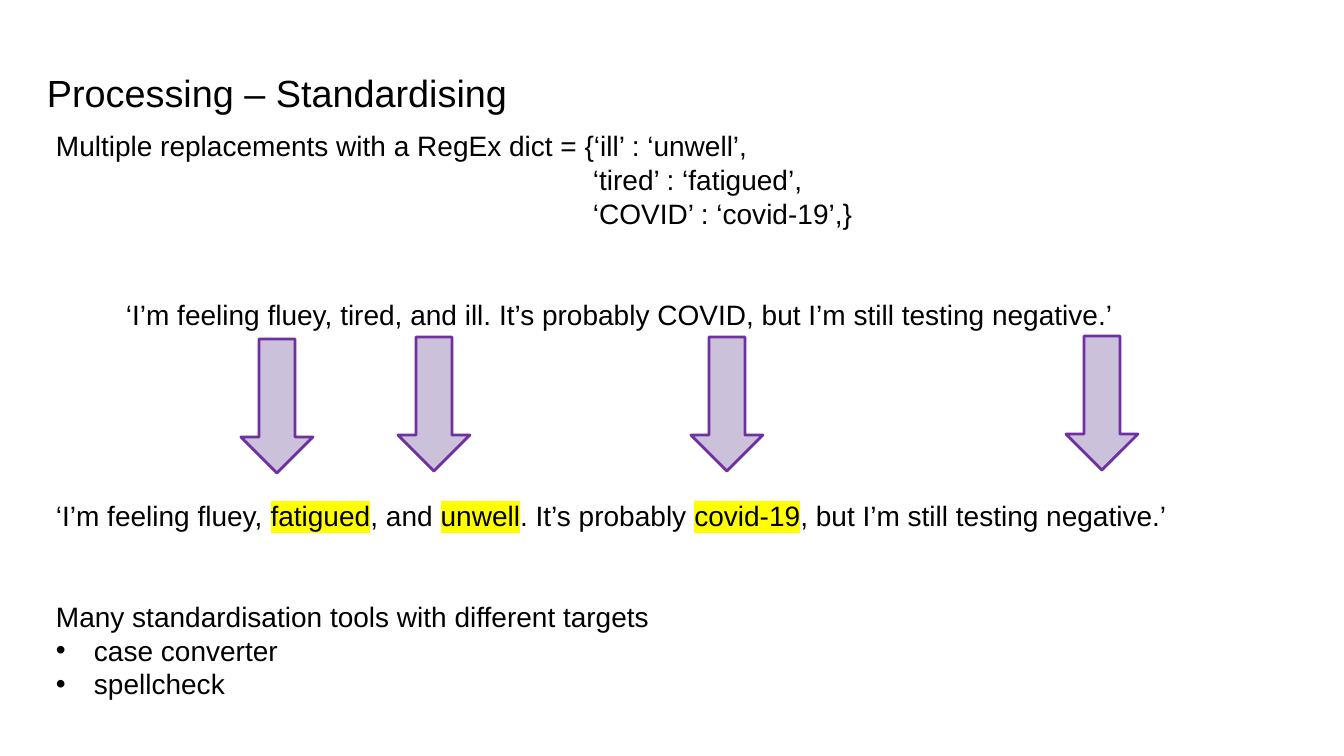
from dataclasses import dataclass

from lxml.etree import SubElement
from pptx import Presentation
from pptx.dml.color import RGBColor
from pptx.enum.shapes import MSO_SHAPE
from pptx.enum.text import MSO_ANCHOR
from pptx.oxml import parse_xml
from pptx.oxml.ns import nsdecls, qn
from pptx.util import Emu, Pt

PX = 914400 / 100.8


def px(length):
    return Emu(round(length * PX))


@dataclass(frozen=True)
class Theme:
    font: str = "Arial"
    text: str = "000000"
    highlight: str = "FFFF00"
    arrow_fill: str = "CCC1DA"
    arrow_line: str = "7030A0"
    title_size: int = 27
    body_size: int = 20
    line_height: int = 24
    arrow_weight: int = 2


THEME = Theme()
BULLET_INDENT = 38

# Each line: left indent in px, blank lines above it, bulleted, spans of (text, highlighted)
BODY_LINES = [
    (0, 0, False, [("Multiple replacements with a RegEx dict = {‘ill’ : ‘unwell’,", False)]),
    (537, 0, False, [("‘tired’ : ‘fatigued’,", False)]),
    (537, 0, False, [("‘COVID’ : ‘covid-19’,}", False)]),
    (70, 2, False, [("‘I’m feeling fluey, tired, and ill. It’s probably COVID, "
                     "but I’m still testing negative.’", False)]),
    (0, 5, False, [("‘I’m feeling fluey, ", False), ("fatigued", True), (", and ", False),
                   ("unwell", True), (". It’s probably ", False), ("covid-19", True),
                   (", but I’m still testing negative.’", False)]),
    (0, 2, False, [("Many standardisation tools with different targets", False)]),
    (BULLET_INDENT, 0, True, [("case converter", False)]),
    (BULLET_INDENT, 0, True, [("spellcheck", False)]),
]

# Offsets of the arrows within their row
ARROW_OFFSETS = [(0, 3), (157, 1), (450, 1), (825, 0)]
ARROW_SIZE = (72, 134)


def add_text_frame(page, box):
    frame = page.shapes.add_textbox(*map(px, box)).text_frame
    frame.word_wrap = True
    return frame


def style_span(span, size, highlighted=False):
    span.font.name = THEME.font
    span.font.size = Pt(size)
    span.font.color.rgb = RGBColor.from_string(THEME.text)
    if highlighted:
        fill = span.font._element.find(qn("a:solidFill"))
        fill.addnext(parse_xml(f'<a:highlight {nsdecls("a")}>'
                               f'<a:srgbClr val="{THEME.highlight}"/></a:highlight>'))


def add_title(page, box):
    frame = add_text_frame(page, box)
    frame.vertical_anchor = MSO_ANCHOR.MIDDLE
    frame.text = "Processing – Standardising"
    style_span(frame.paragraphs[0].runs[0], THEME.title_size)


def add_body(page, box):
    frame = add_text_frame(page, box)
    for number, (indent, blanks, bulleted, spans) in enumerate(BODY_LINES):
        para = frame.add_paragraph() if number else frame.paragraphs[0]
        para.line_spacing = Pt(THEME.line_height)
        para.space_before = Pt(THEME.line_height * blanks)
        properties = para._p.get_or_add_pPr()
        properties.set("marL", str(px(indent)))
        if bulleted:
            properties.set("indent", str(-px(BULLET_INDENT)))
            SubElement(properties, qn("a:buFont"), typeface=THEME.font)
            SubElement(properties, qn("a:buChar"), char="•")
        for text, highlighted in spans:
            span = para.add_run()
            span.text = text
            style_span(span, THEME.body_size, highlighted)


def add_arrows(page, left, top):
    for across, down in ARROW_OFFSETS:
        box = (left + across, top + down, *ARROW_SIZE)
        arrow = page.shapes.add_shape(MSO_SHAPE.DOWN_ARROW, *map(px, box))
        arrow.shadow.inherit = False
        arrow.fill.solid()
        arrow.fill.fore_color.rgb = RGBColor.from_string(THEME.arrow_fill)
        arrow.line.color.rgb = RGBColor.from_string(THEME.arrow_line)
        arrow.line.width = Pt(THEME.arrow_weight)


def main():
    deck = Presentation()
    deck.slide_width, deck.slide_height = px(1344), px(756)
    page = deck.slides.add_slide(deck.slide_layouts[6])

    # Heading
    add_title(page, (37, 29, 1210, 126))
    # Replacement dictionary, example sentences and tools
    add_body(page, (46, 124, 1191, 587))
    # Arrows from the raw sentence to the standardised one
    add_arrows(page, 241, 336)

    deck.save("out.pptx")


if __name__ == "__main__":
    main()
